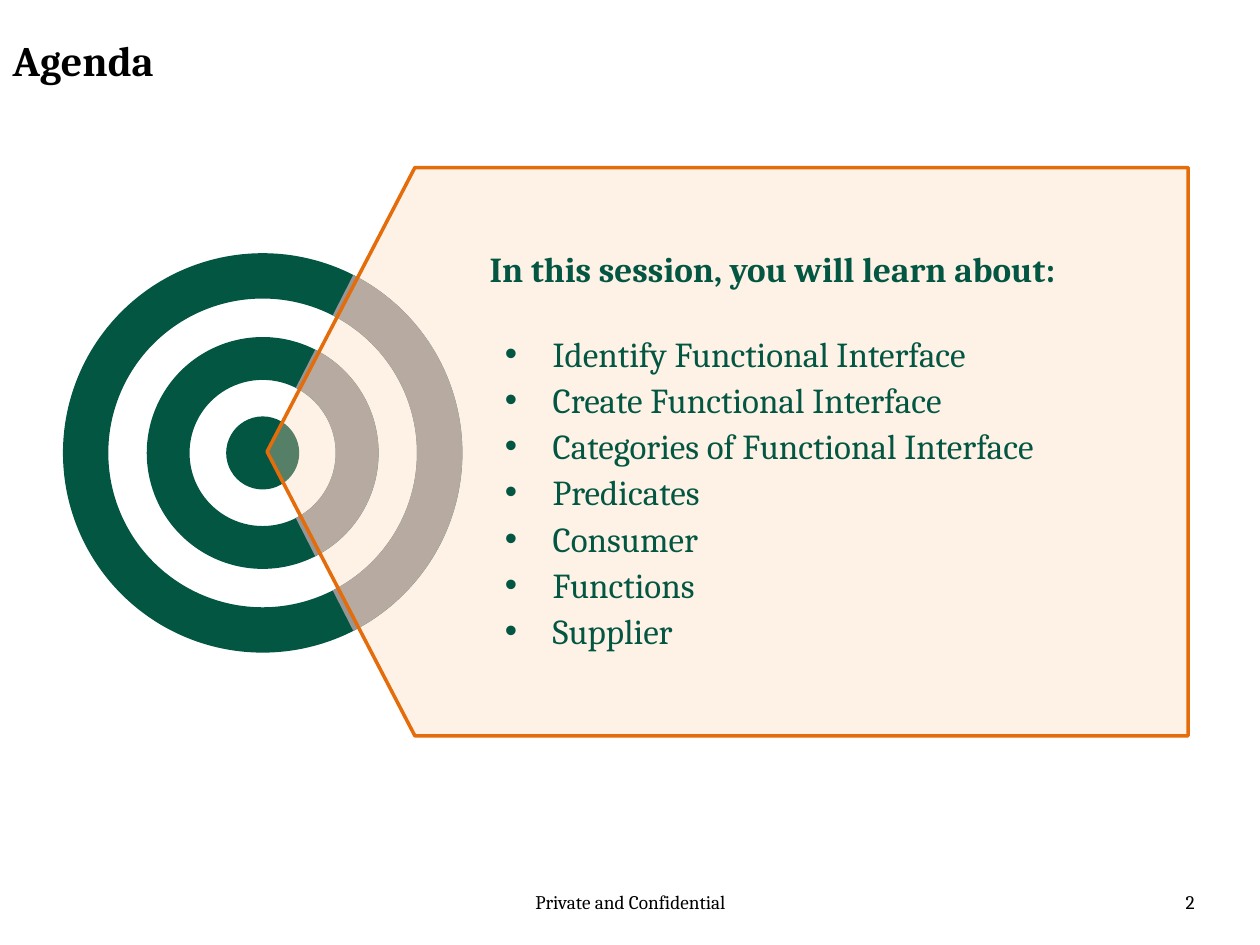
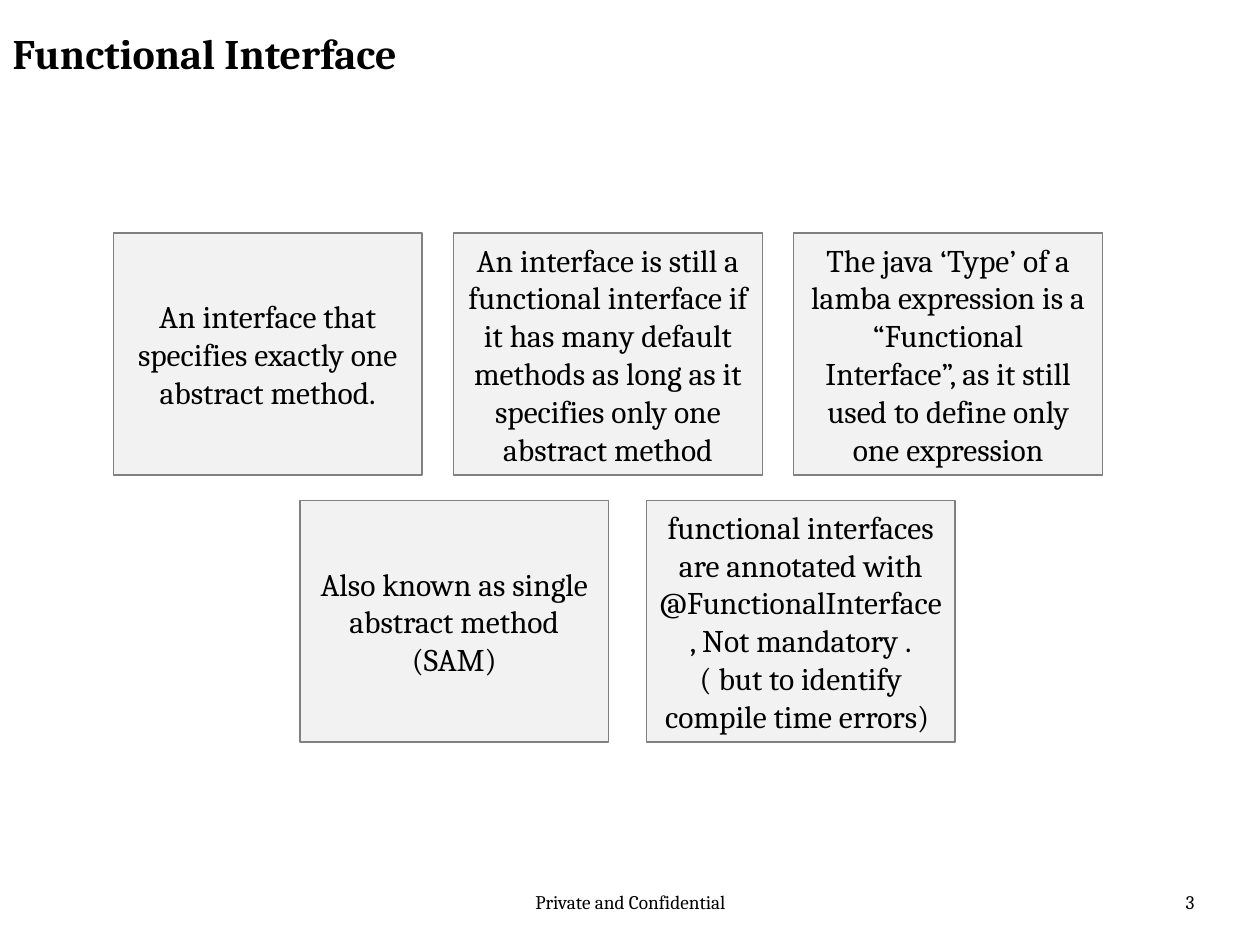
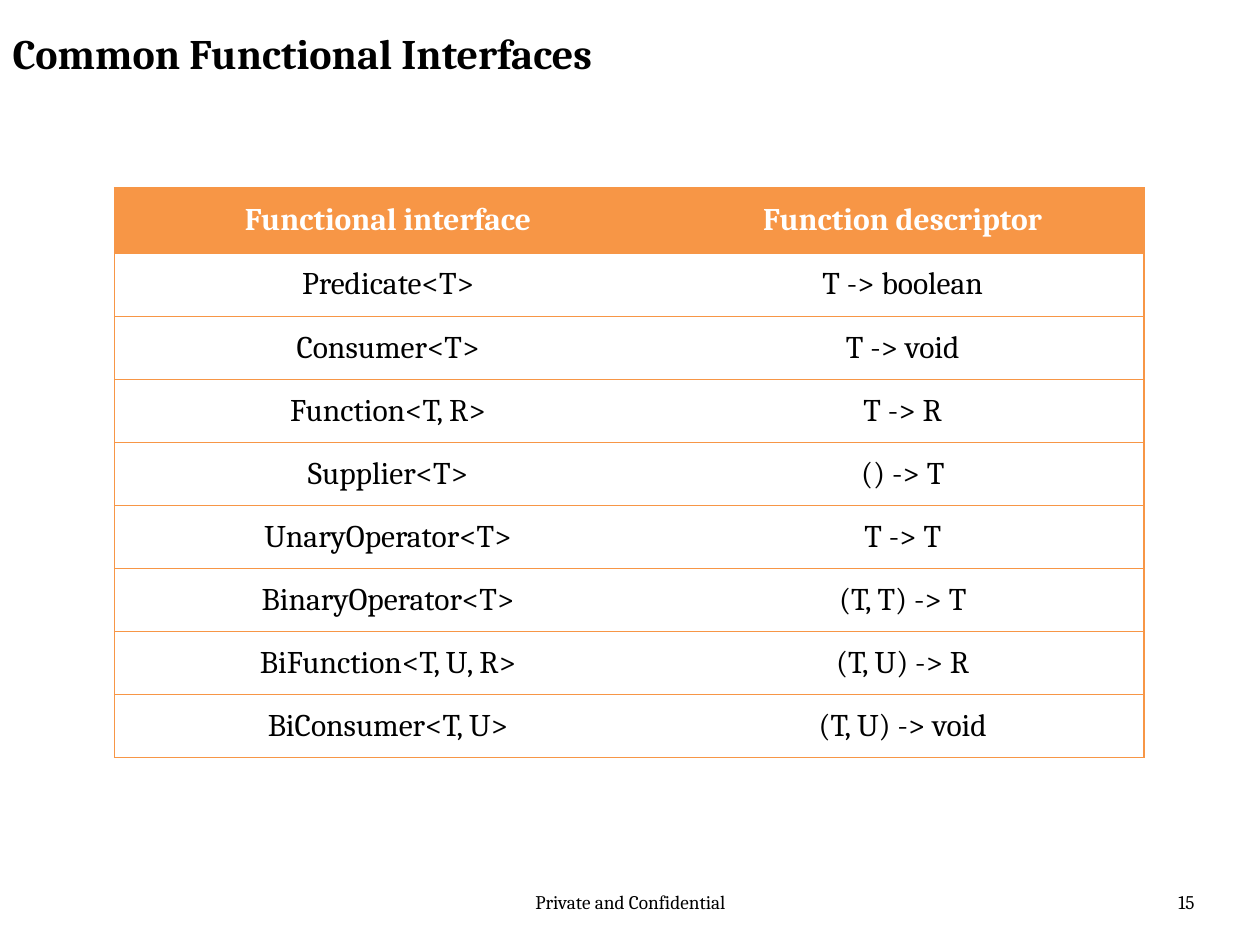
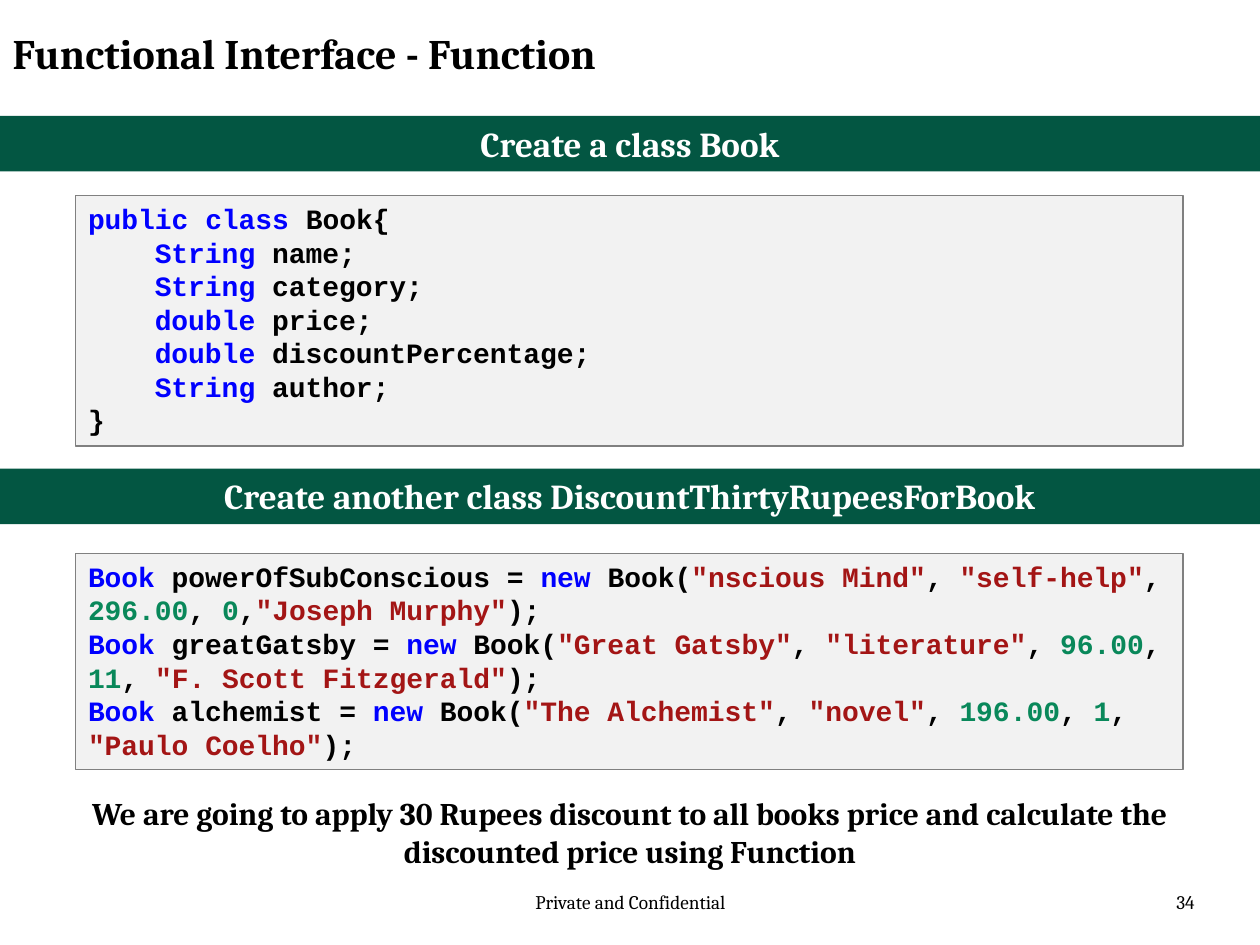
from pptx import Presentation
from pptx import util as u
from pptx.dml.color import RGBColor
from pptx.enum import shapes, text
from pptx.oxml import ns, xmlchemy

GREEN = RGBColor(0x03, 0x56, 0x42)
GREY = RGBColor(0x96, 0x96, 0x96)
ORANGE = RGBColor(0xE4, 0x6C, 0x0A)
PEACH = RGBColor(0xFC, 0xD5, 0xB5)
TABLE_ORANGE = RGBColor(0xF7, 0x96, 0x46)
PALE = RGBColor(0xF2, 0xF2, 0xF2)
EDGE = RGBColor(0x80, 0x80, 0x80)
BLACK = RGBColor(0, 0, 0)
WHITE = RGBColor(0xFF, 0xFF, 0xFF)
KEYWORD = RGBColor(0, 0, 0xFF)
STRING = RGBColor(0xA3, 0x15, 0x15)
NUMBER = RGBColor(0x09, 0x88, 0x5A)

SERIF = "Cambria"
MONO = "Courier New"
LEFT, CENTER, RIGHT = text.PP_ALIGN.LEFT, text.PP_ALIGN.CENTER, text.PP_ALIGN.RIGHT
TOP, MIDDLE = text.MSO_ANCHOR.TOP, text.MSO_ANCHOR.MIDDLE
NO_TABLE_STYLE = "{2D5ABB26-0587-4C30-8999-92F81FD0307C}"


def inches(box):
    """Turn a (left, top, width, height) box into lengths."""
    return [u.Inches(value) for value in box]


def add_span(para, words, size, color=BLACK, bold=False, font=SERIF):
    """Append one formatted run to a paragraph."""
    span = para.add_run()
    span.text = words
    span.font.size = u.Pt(size)
    span.font.name = font
    span.font.bold = bold
    span.font.color.rgb = color


def write_lines(frame, lines, size, bold=False, align=LEFT, font=SERIF, anchor=TOP):
    """Write lines of (words, colour) spans and return their paragraphs."""
    frame.word_wrap = True
    frame.vertical_anchor = anchor
    for index, spans in enumerate(lines):
        para = frame.paragraphs[0] if index == 0 else frame.add_paragraph()
        para.alignment = align
        for words, color in spans:
            add_span(para, words, size, color, bold, font)
    return frame.paragraphs


def set_insets(holder, left, top, right, bottom):
    """Set the four inner margins of a text frame or table cell."""
    holder.margin_left, holder.margin_top = u.Inches(left), u.Inches(top)
    holder.margin_right, holder.margin_bottom = u.Inches(right), u.Inches(bottom)


def indent(para, left, first=0):
    """Indent a paragraph and offset its first line."""
    props = para._p.get_or_add_pPr()
    props.set("marL", str(u.Inches(left)))
    props.set("indent", str(u.Inches(first)))
    return props


def add_figure(page, kind, box, fill, line=None, width=0.75):
    """Add a flat preset shape with an optional outline."""
    figure = page.shapes.add_shape(kind, *inches(box))
    figure.shadow.inherit = False
    figure.fill.solid()
    figure.fill.fore_color.rgb = fill
    if line is None:
        figure.line.fill.background()
    else:
        figure.line.color.rgb = line
        figure.line.width = u.Pt(width)
    return figure


def add_label(page, box, words, size, align, bold=False):
    """Add a plain black text box."""
    label = page.shapes.add_textbox(*inches(box))
    write_lines(label.text_frame, [[(words, BLACK)]], size, bold, align)


def add_page(deck, title, number, title_top=0.17):
    """Add a page with the shared title, footer and page number."""
    page = deck.slides.add_slide(deck.slide_layouts.get_by_name("Title Only"))
    heading = page.shapes.title
    heading.left, heading.top, heading.width, heading.height = inches((0, title_top, 7.59, 0.62))
    write_lines(heading.text_frame, [[(title, BLACK)]], 24, bold=True)
    add_label(page, (3.42, 7.02, 3.17, 0.4), "Private and Confidential", 11, CENTER)
    add_label(page, (7.25, 7.02, 2.33, 0.4), str(number), 11, RIGHT)
    return page


def add_target(page, box):
    """Draw a bullseye whose right-hand sector is shaded grey."""
    left, top, size, _ = box
    rings = [(1.84, 0.34), (size, 0.36)]

    def centred(diameter):
        gap = (size - diameter) / 2
        return left + gap, top + gap, diameter, diameter

    add_figure(page, shapes.MSO_SHAPE.OVAL, centred(0.58), GREEN)
    for diameter, band in rings:
        ring = add_figure(page, shapes.MSO_SHAPE.DONUT, centred(diameter), GREEN)
        ring.adjustments[0] = band / diameter
    for diameter, band in rings:
        sector = add_figure(page, shapes.MSO_SHAPE.BLOCK_ARC, centred(diameter), GREY)
        for index, degrees in enumerate((297, 63)):
            sector.adjustments[index] = degrees * 0.6
        sector.adjustments[2] = band / diameter


def add_agenda_panel(page, box, heading, topics):
    """Add the translucent left-pointing panel with its bulleted topics."""
    panel = add_figure(page, shapes.MSO_SHAPE.PENTAGON, box, PEACH, ORANGE, 2)
    panel.adjustments[0] = 0.26
    props = panel._element.spPr
    props.find(ns.qn("a:xfrm")).set("flipH", "1")
    tint = props.find(ns.qn("a:solidFill"))[0]
    xmlchemy.OxmlElement("a:alpha")
    alpha = tint.makeelement(ns.qn("a:alpha"), {"val": "33000"})
    tint.append(alpha)

    frame = panel.text_frame
    set_insets(frame, 1.18, 0, 0.08, 0)
    lines = [[(words, GREEN)] for words in (heading, *topics)]
    first, *items = write_lines(frame, lines, 20, anchor=MIDDLE)
    first.runs[0].font.bold = True
    first.line_spacing = 0.9
    first.space_after = u.Pt(22)
    for item in items:
        item.line_spacing = 1.1
        bullet_props = indent(item, 0.5, -0.38)
        for tag, key, value in (("a:buFont", "typeface", "Arial"), ("a:buChar", "char", "•")):
            mark = xmlchemy.OxmlElement(tag)
            mark.set(key, value)
            bullet_props.append(mark)


def add_card_row(page, box, step, cards):
    """Place equal cards from left to right, starting at the given box."""
    left, top, width, height = box
    for index, words in enumerate(cards):
        place = (left + index * step, top, width, height)
        card = add_figure(page, shapes.MSO_SHAPE.RECTANGLE, place, PALE, EDGE)
        set_insets(card.text_frame, 0.1, 0.1, 0.1, 0.1)
        write_lines(card.text_frame, [[(words, BLACK)]], 18, align=CENTER, anchor=MIDDLE)


def set_borders(cell, sides):
    """Give a table cell thin orange borders on the named sides."""
    props = cell._tc.get_or_add_tcPr()
    for side in sides:
        line = xmlchemy.OxmlElement(f"a:ln{side}")
        line.set("w", str(u.Pt(1)))
        fill = xmlchemy.OxmlElement("a:solidFill")
        color = xmlchemy.OxmlElement("a:srgbClr")
        color.set("val", str(TABLE_ORANGE))
        fill.append(color)
        line.append(fill)
        props.append(line)


def add_interface_table(page, box, widths, header_height, rows):
    """Add the two-column table with an orange header row."""
    height = box[3]
    table = page.shapes.add_table(len(rows), len(widths), *inches(box)).table
    table._tbl.tblPr.find(ns.qn("a:tableStyleId")).text = NO_TABLE_STYLE
    table.horz_banding = False
    for column, width in zip(table.columns, widths):
        column.width = u.Inches(width)
    body_height = (height - header_height) / (len(rows) - 1)
    for index, values in enumerate(rows):
        is_header = index == 0
        table.rows[index].height = u.Inches(header_height if is_header else body_height)
        for cell, words, sides in zip(table.rows[index].cells, values, ("LTB", "RTB")):
            set_borders(cell, sides)
            cell.fill.solid()
            cell.fill.fore_color.rgb = TABLE_ORANGE if is_header else WHITE
            set_insets(cell, 0.1, 0.1, 0.1, 0.1)
            cell.vertical_anchor = MIDDLE
            para = cell.text_frame.paragraphs[0]
            para.alignment = CENTER
            add_span(para, words, 18, WHITE if is_header else BLACK, is_header)


def add_band(page, top, words):
    """Add a full-width green heading band."""
    band = add_figure(page, shapes.MSO_SHAPE.RECTANGLE, (0, top, 10, 0.44), GREEN)
    write_lines(band.text_frame, [[(words, WHITE)]], 20, True, CENTER)


def add_code(page, box, lines):
    """Add a grey code listing and return its paragraphs."""
    listing = add_figure(page, shapes.MSO_SHAPE.RECTANGLE, box, PALE, EDGE)
    return write_lines(listing.text_frame, lines, 16, True, font=MONO)


def book_line(variable, title, genre, price, discount, author, last_comma=", "):
    """Return the coloured spans of one Book constructor call."""
    return [
        ("Book", KEYWORD), (f" {variable} = ", BLACK), ("new", KEYWORD), (" Book(", BLACK),
        (f'"{title}"', STRING), (", ", BLACK), (f'"{genre}"', STRING), (", ", BLACK),
        (price, NUMBER), (", ", BLACK), (discount, NUMBER), (last_comma, BLACK),
        (f'"{author}"', STRING), (");", BLACK),
    ]


def build_agenda(deck):
    """Build the agenda page."""
    page = add_page(deck, "Agenda", 2, title_top=0.22)
    add_target(page, (0.5, 2.01, 3.17, 3.17))
    add_agenda_panel(page, (2.12, 1.33, 7.31, 4.51), "In this session, you will learn about:", [
        "Identify Functional Interface",
        "Create Functional Interface",
        "Categories of Functional Interface",
        "Predicates",
        "Consumer",
        "Functions",
        "Supplier",
    ])


def build_definition(deck):
    """Build the page of definition cards."""
    page = add_page(deck, "Functional Interface", 3)
    add_card_row(page, (0.9, 1.85, 2.45, 1.92), 2.7, [
        "An interface that specifies exactly one abstract method.",
        "An interface is still a functional interface if it has many default methods "
        "as long as it specifies only one abstract method",
        "The java ‘Type’ of a lamba expression is a “Functional Interface”, "
        "as it still used to define only one expression",
    ])
    add_card_row(page, (2.38, 3.97, 2.45, 1.92), 2.75, [
        "Also known as single abstract method (SAM)",
        "functional interfaces are annotated with @FunctionalInterface, "
        "Not mandatory .( but to identify compile time errors) ",
    ])


def build_common(deck):
    """Build the page with the table of common interfaces."""
    page = add_page(deck, "Common Functional Interfaces", 15)
    add_interface_table(page, (0.91, 1.49, 8.17, 4.43), (4.34, 3.83), 0.52, [
        ("Functional interface", "Function descriptor"),
        ("Predicate<T>", "T -> boolean"),
        ("Consumer<T>", "T -> void"),
        ("Function<T, R>", "T -> R"),
        ("Supplier<T>", "() -> T"),
        ("UnaryOperator<T>", "T -> T"),
        ("BinaryOperator<T>", "(T, T) -> T"),
        ("BiFunction<T, U, R>", "(T, U) -> R"),
        ("BiConsumer<T, U>", "(T, U) -> void"),
    ])


def build_function(deck):
    """Build the page of code listings for Function."""
    page = add_page(deck, "Functional Interface - Function", 34)
    add_band(page, 0.92, "Create a class Book")
    fields = [("String", "name"), ("String", "category"), ("double", "price"),
              ("double", "discountPercentage"), ("String", "author")]
    members = [[(kind, KEYWORD), (f" {name};", BLACK)] for kind, name in fields]
    opening = [("public class", KEYWORD), (" Book{", BLACK)]
    paras = add_code(page, (0.6, 1.55, 8.79, 1.99), [opening, *members, [("}", BLACK)]])
    for para in paras[1:-1]:
        indent(para, 0.53)

    add_band(page, 3.72, "Create another class DiscountThirtyRupeesForBook")
    add_code(page, (0.6, 4.39, 8.79, 1.72), [
        book_line("powerOfSubConscious", "nscious Mind", "self-help", "296.00", "0",
                  "Joseph Murphy", last_comma=","),
        book_line("greatGatsby", "Great Gatsby", "literature", "96.00", "11",
                  "F. Scott Fitzgerald"),
        book_line("alchemist", "The Alchemist", "novel", "196.00", "1", "Paulo Coelho"),
    ])
    add_label(page, (0, 6.25, 10, 0.71),
              "We are going to apply 30 Rupees discount to all books price and calculate "
              "the discounted price using Function", 18, CENTER, bold=True)


def main():
    """Build and save the deck."""
    deck = Presentation()
    deck.slide_width, deck.slide_height = u.Inches(10), u.Inches(7.5)
    for build in (build_agenda, build_definition, build_common, build_function):
        build(deck)
    deck.save("out.pptx")


if __name__ == "__main__":
    main()
